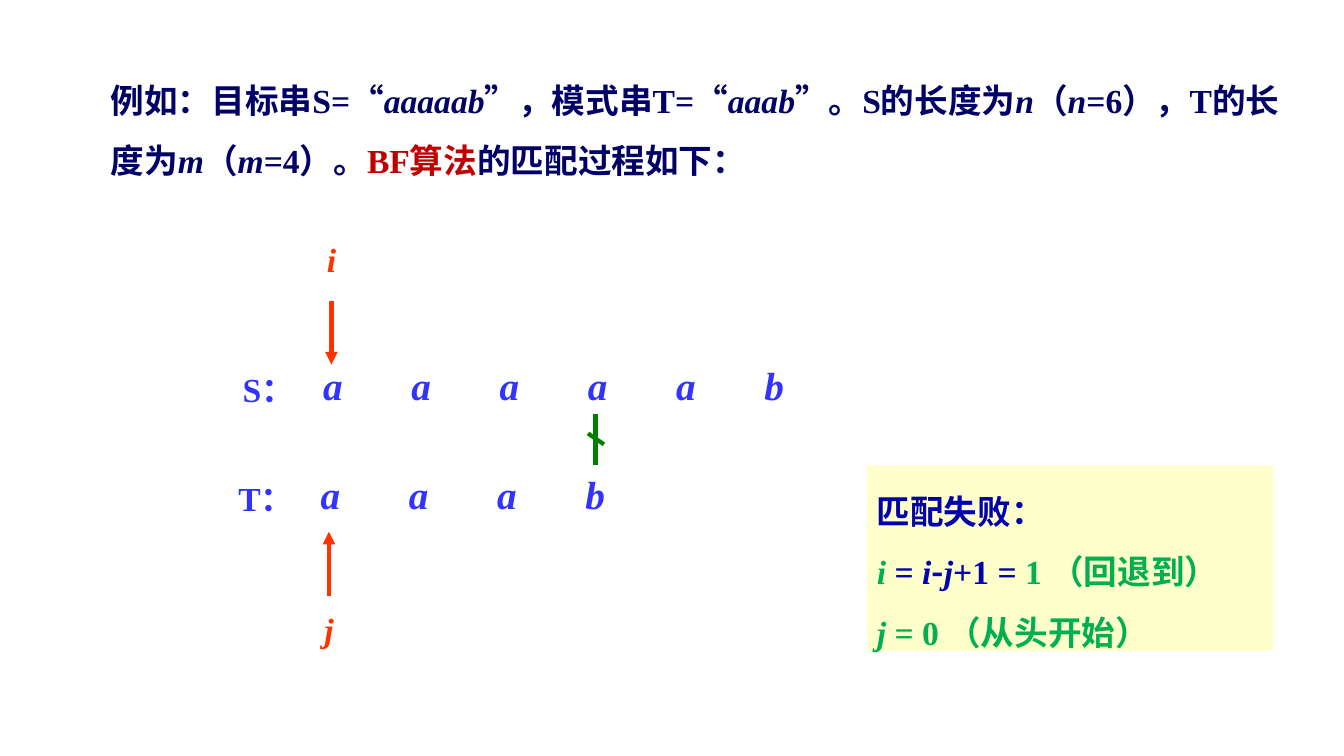
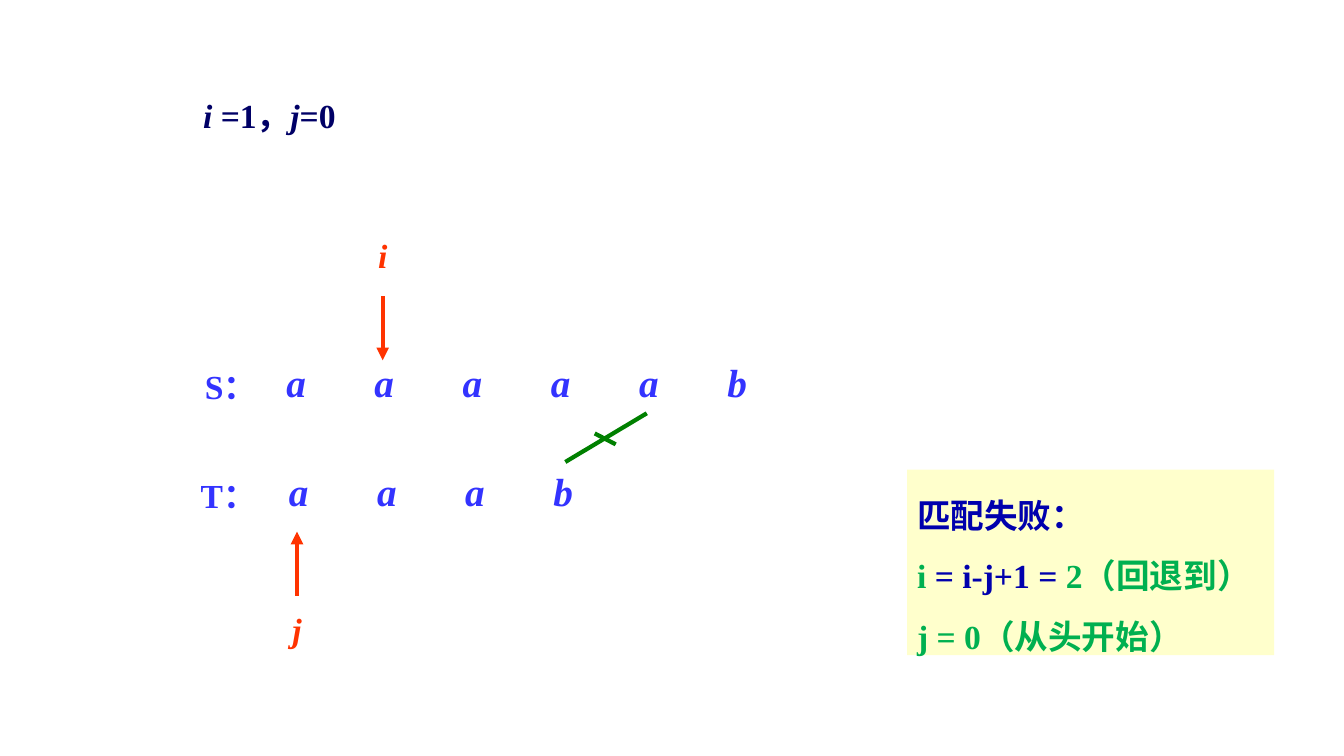
from dataclasses import dataclass
from lxml.etree import SubElement
from pptx import Presentation
from pptx.dml.color import RGBColor
from pptx.enum.shapes import MSO_CONNECTOR, MSO_SHAPE
from pptx.enum.text import MSO_ANCHOR, MSO_AUTO_SIZE, PP_ALIGN
from pptx.oxml.ns import qn
from pptx.util import Inches, Pt


@dataclass(frozen=True)
class Theme:
    title: str = "000066"
    accent: str = "C00000"
    letter: str = "3333FF"
    marker: str = "FF3300"
    strike: str = "008000"
    panel: str = "FFFFCC"
    result: str = "0000AD"
    reset: str = "00B050"
    latin: str = "Times New Roman"
    cjk: str = "Noto Sans CJK SC"
    body_size: int = 24
    letter_size: int = 28
    line_width: int = 3


T = Theme()
COLS, ROWS = 160, 90
PITCH = 10.5
ROW_GAP = 12.95
POINTER_SHIFT = 2.16
POINTER_LENGTH = 7.6
J_HEAD = 63.3


def apply(target, formats):
    for name, value in formats.items():
        setattr(target, name, value)


class Deck:
    def __init__(self):
        self.prs = Presentation()
        apply(self.prs, {"slide_width": Inches(13.33), "slide_height": Inches(7.5)})

    def new_slide(self):
        self.s = self.prs.slides.add_slide(self.prs.slide_layouts[6])

    def place(self, *cells):
        sizes = (self.prs.slide_width, self.prs.slide_height) * 2
        counts = (COLS, ROWS) * 2
        return [round(c * size / n) for c, size, n in zip(cells, sizes, counts)]

    def runs(self, p, markup, color, size, latin=T.latin):
        for n, part in enumerate(markup.split("*")):
            if not part:
                continue
            r = p.add_run()
            r.text = part
            apply(r.font, {"name": latin, "size": Pt(size), "bold": True,
                           "italic": n % 2 == 1})
            r.font.color.rgb = RGBColor.from_string(color)
            rPr = r.font._element
            rPr.set("lang", "zh-CN")
            SubElement(rPr, qn("a:ea"), typeface=T.cjk)

    def fill_text(self, sp, paragraphs, size=T.body_size, wrap=True, **formats):
        tf = sp.text_frame
        apply(tf, {"word_wrap": wrap, "auto_size": MSO_AUTO_SIZE.SHAPE_TO_FIT_TEXT,
                   "vertical_anchor": MSO_ANCHOR.TOP})
        for n, parts in enumerate(paragraphs):
            p = tf.add_paragraph() if n else tf.paragraphs[0]
            apply(p, {"alignment": PP_ALIGN.LEFT, **formats})
            for part in parts:
                self.runs(p, *part[:2], size, *part[2:])
        return tf

    def text(self, box, parts, **formats):
        sp = self.s.shapes.add_textbox(*self.place(*box))
        return self.fill_text(sp, [parts], **formats)

    def letters(self, x, y, word):
        width = PITCH * len(word) + 12.7
        spaced = "\t".join(word)
        tf = self.text((x, y, width, 6.8), [(f"*{spaced}*", T.letter)],
                       size=T.letter_size, space_before=Pt(T.letter_size / 2))
        tabs = SubElement(tf.paragraphs[0]._p.get_or_add_pPr(), qn("a:tabLst"))
        for n in range(1, len(word)):
            pos = self.place(PITCH * n)[0]
            SubElement(tabs, qn("a:tab"), pos=str(pos), algn="l")

    def row(self, name, label_width, label_right, x, y, word):
        self.letters(x, y, word)
        self.text((label_right - label_width, y + 0.9, label_width, 6),
                  [(name + "：", T.letter)], wrap=False)

    def line(self, start, end, color, arrow=False):
        sp = self.s.shapes.add_connector(
            MSO_CONNECTOR.STRAIGHT, *self.place(*start, *end))
        sp.line.color.rgb = RGBColor.from_string(color)
        sp.line.width = Pt(T.line_width)
        if arrow:
            SubElement(sp.line._get_or_add_ln(), qn("a:tailEnd"), type="triangle")
        SubElement(sp._element.spPr, qn("a:effectLst"))

    def pointer(self, name, x, tail, head, text_top):
        self.line((x, tail), (x, head), T.marker, arrow=True)
        self.text((x - 2.8, text_top, 5.6, 6), [(f"*{name}*", T.marker)],
                  alignment=PP_ALIGN.CENTER, space_before=Pt(T.body_size / 2))

    def panel(self, box, paragraphs):
        sp = self.s.shapes.add_shape(MSO_SHAPE.RECTANGLE, *self.place(*box))
        sp.shadow.inherit = False
        sp.fill.solid()
        sp.fill.fore_color.rgb = RGBColor.from_string(T.panel)
        sp.line.fill.background()
        self.fill_text(sp, paragraphs, line_spacing=1.5)

    def match(self, s_x, t_x, y, label_right, i, i_top, strikes):
        self.row("S", 9.7, label_right, s_x, y, "aaaaab")
        self.row("T", 10.2, label_right, t_x, y + ROW_GAP, "aaab")
        self.pointer("i", s_x + POINTER_SHIFT + i * PITCH, i_top,
                     i_top + POINTER_LENGTH, i_top - 7.9)
        j_tail = J_HEAD + POINTER_LENGTH
        self.pointer("j", t_x + POINTER_SHIFT, j_tail, J_HEAD, j_tail + 1)
        for start, end in strikes:
            self.line(start, end, T.strike)


def main():
    deck = Deck()
    failed = [("匹配失败：", T.result)]

    deck.new_slide()
    deck.text((12, 6.5, 143, 14.9), [
        ("例如：目标串S=“*aaaaab*”，模式串T=“*aaab*”。S的长度为*n*（*n*=6），"
         "T的长度为*m*（*m*=4）。", T.title),
        ("BF算法", T.accent),
        ("的匹配过程如下：", T.title)], line_spacing=1.5)
    deck.match(37.3, 37, 42.4, 37.4, 0, 35.8,
               [((70.9, 49.3), (70.9, 55.3)), ((70, 51.6), (71.9, 52.9))])
    deck.panel((103.2, 55.4, 48.4, 22.1), [
        failed,
        [("*i *", T.reset), ("= *i*", T.result), ("-", T.result, T.cjk),
         ("*j*+1 = ", T.result), ("1 （回退到）", T.reset)],
        [("*j *= 0 （从头开始）", T.reset)]])

    deck.new_slide()
    deck.text((23, 12, 28.1, 4.7), [("*i *=1，*j*=0", T.title)],
              line_spacing=0.7, space_before=Pt(T.body_size / 2))
    deck.match(32.9, 33.2, 42.1, 32.9, 1, 35.3,
               [((77, 49.2), (67.3, 55)), ((70.8, 51.6), (73.3, 52.9))])
    deck.panel((108, 55.9, 43.7, 22.1), [
        failed,
        [("i", T.reset), (" = i-j+1 = ", T.result), ("2（回退到）", T.reset)],
        [("j = 0（从头开始）", T.reset)]])

    deck.prs.save("out.pptx")


if __name__ == "__main__":
    main()
